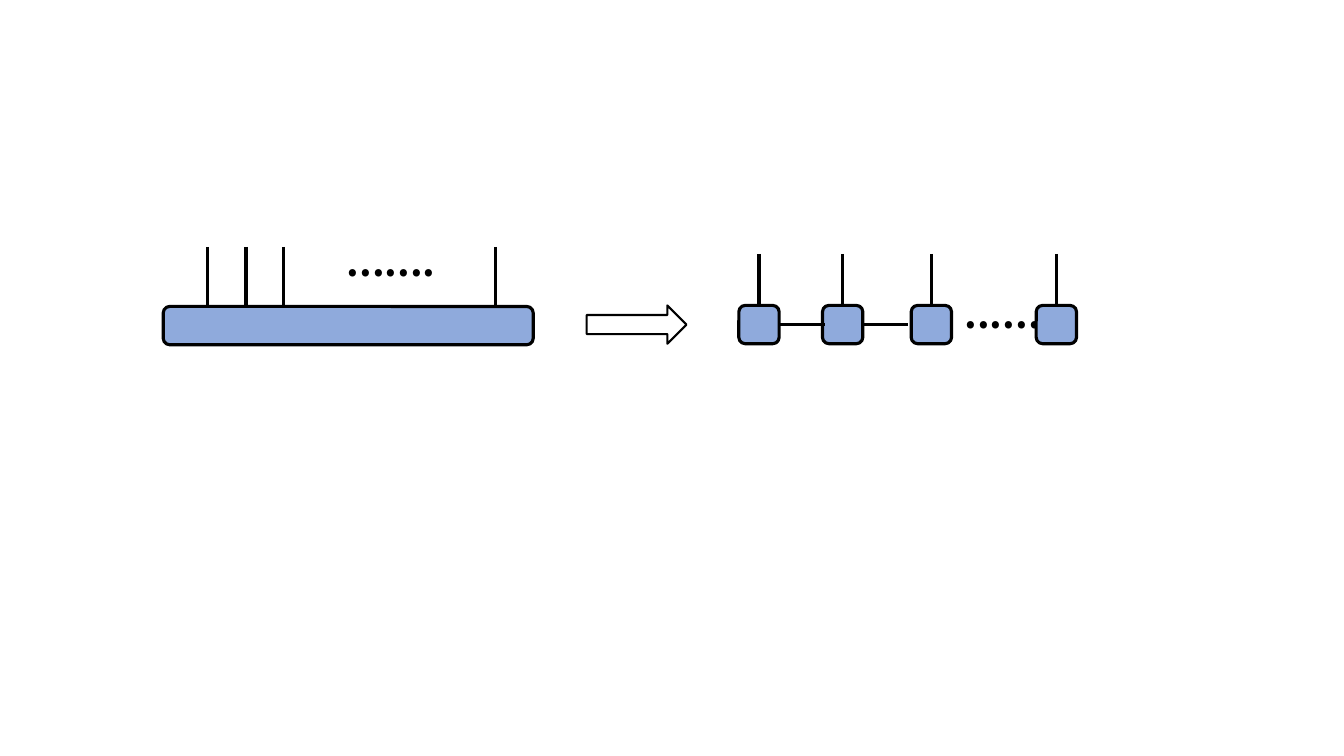
import pptx
import pptx.util
import pptx.dml.color
import pptx.enum.shapes
import pptx.enum.text
import pptx.oxml

theme = {
    "ink": pptx.dml.color.RGBColor.from_string("000000"),
    "blue": pptx.dml.color.RGBColor.from_string("8FAADC"),
    "white": pptx.dml.color.RGBColor.from_string("FFFFFF"),
    "font": "Noto Sans CJK SC",
    "dots": pptx.util.Pt(28),
    "bold": pptx.util.Pt(2.25),
    "thin": pptx.util.Pt(1.5),
}

cell = pptx.util.Inches(0.1)
deck = pptx.Presentation()
deck.slide_width = int(133.33 * cell)
deck.slide_height = 75 * cell
slide = deck.slides.add_slide(deck.slide_layouts[6])
kinds = pptx.enum.shapes.MSO_SHAPE


def write(text, left, top, wide, high, size, color, font, bold=False):
    box = slide.shapes.add_textbox(*[int(n * cell) for n in (left, top, wide, high)])
    frame = box.text_frame
    frame.word_wrap = True
    frame.auto_size = pptx.enum.text.MSO_AUTO_SIZE.SHAPE_TO_FIT_TEXT
    run = frame.paragraphs[0].add_run()
    run.text = text
    run.font.size = size
    run.font.name = font
    run.font.bold = bold
    run.font.color.rgb = color


dots = {"size": theme["dots"], "color": theme["ink"], "font": theme["font"], "bold": True}
write(".......", 33.4, 23.1, 12.1, 5.7, **dots)
write(".......", 94.7, 28.2, 12.1, 5.7, **dots)

high = 3.8
side = 4
top = 30.3
nodes = [73.3, 81.6, 90.4, 102.8]
blocks = [
    (kinds.ROUNDED_RECTANGLE, 16.2, 30.4, 36.7, "blue", "bold"),
    (kinds.RIGHT_ARROW, 58.2, top, 9.9, "white", "thin"),
]
blocks += [(kinds.ROUNDED_RECTANGLE, left, top, side, "blue", "bold") for left in nodes]
for kind, left, y, wide, fill, line in blocks:
    block = slide.shapes.add_shape(kind, *[int(n * cell) for n in (left, y, wide, high)])
    block.shadow.inherit = False
    block.fill.solid()
    block.fill.fore_color.rgb = theme[fill]
    block.line.color.rgb = theme["ink"]
    block.line.width = theme[line]

legs = [(x, 24.5, x, 30.4) for x in (20.6, 24.4, 28.1, 49.2)]
legs += [(left + side / 2, 25.2, left + side / 2, top) for left in nodes]
mid = top + high / 2
bonds = [(left + side, mid, left + side + 4.5, mid) for left in nodes[:2]]
for ends in legs + bonds:
    line = slide.shapes.add_connector(
        pptx.enum.shapes.MSO_CONNECTOR.STRAIGHT, *[int(n * cell) for n in ends])
    line.line.color.rgb = theme["ink"]
    line.line.width = theme["bold"]
    line._element.spPr.append(pptx.oxml.parse_xml(
        '<a:effectLst xmlns:a="http://schemas.openxmlformats.org/drawingml/2006/main"/>'))

deck.save("out.pptx")
